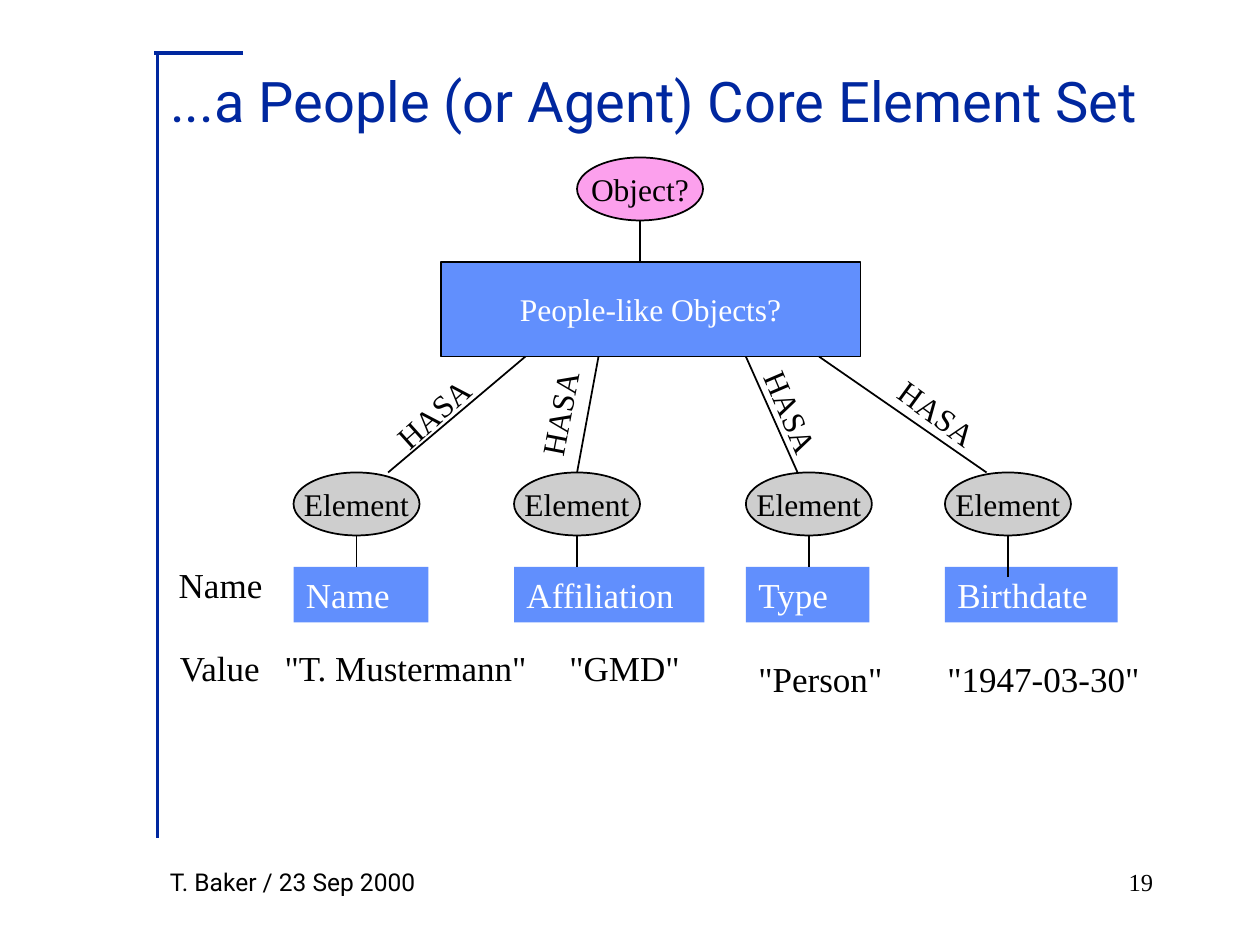
from lxml import etree
from pptx import Presentation
from pptx.dml.color import RGBColor
from pptx.enum.shapes import MSO_CONNECTOR, MSO_SHAPE
from pptx.enum.text import MSO_ANCHOR, MSO_AUTO_SIZE, PP_ALIGN
from pptx.oxml.ns import qn
from pptx.util import Inches, Pt

STRAIGHT = MSO_CONNECTOR.STRAIGHT
OVAL, RECTANGLE = MSO_SHAPE.OVAL, MSO_SHAPE.RECTANGLE
TOP, MIDDLE = MSO_ANCHOR.TOP, MSO_ANCHOR.MIDDLE
GROW, FIXED = MSO_AUTO_SIZE.SHAPE_TO_FIT_TEXT, MSO_AUTO_SIZE.NONE
LEFT, CENTER, RIGHT = PP_ALIGN.LEFT, PP_ALIGN.CENTER, PP_ALIGN.RIGHT

COLORS = {
    "navy": "00279F", "blue": "618FFD", "pink": "FCA0ED",
    "gray": "CECECE", "black": "000000", "white": "FFFFFF",
}
SANS, SERIF = "Roboto", "Times New Roman"

TITLE = "...a People (or Agent) Core Element Set"
FOOTER = "T. Baker / 23 Sep 2000"
PAGE_NUMBER = "19"
ROOT = "Object?"
GROUP = "People-like Objects?"
LINK = "HASA"
ROW_LABELS = [("Name", 1.32, 4.42), ("Value", 1.33, 5.08)]
ELEMENTS = [
    {"name": "Name", "left": 2.33, "width": 1.07, "stem_end": 4.5,
     "value": '"T. Mustermann"', "value_box": (2.16, 5.08, 2.18, 0.44),
     "branch": (3.08, 4.17), "link_at": (3, 3.08), "angle": 318.1},
    {"name": "Affiliation", "left": 4.08, "width": 1.51, "stem_end": 4.5,
     "value": '"GMD"', "value_box": (4.42, 5.08, 1.12, 0.44),
     "branch": (4.58, 4.75), "link_at": (4, 3.08), "angle": 280.9},
    {"name": "Type", "left": 5.92, "width": 0.98, "stem_end": 4.5,
     "value": '"Person"', "value_box": (5.92, 5.17, 1.22, 0.44),
     "branch": (6.33, 5.92), "link_at": (5.84, 3.07), "angle": 66.9},
    {"name": "Birthdate", "left": 7.5, "width": 1.37, "stem_end": 4.58,
     "value": '"1947-03-30"', "value_box": (7.42, 5.17, 1.76, 0.44),
     "branch": (7.83, 6.5), "link_at": (7, 3.08), "angle": 36.1},
]

OVAL_WIDTH, OVAL_HEIGHT = 1, 0.5
ROOT_LEFT, ROOT_TOP = 4.58, 1.25
GROUP_BOX = (3.5, 2.08, 3.33, 0.75)
GROUP_BOTTOM = 2.83
ELEMENT_TOP, NAME_TOP = 3.75, 4.5


def rgb(name):
    return RGBColor.from_string(COLORS[name])


def write(shape, text, size=20, font=SERIF, color="black", align=LEFT,
          anchor=TOP, wrap=False, fit=GROW):
    frame = shape.text_frame
    frame.auto_size = fit
    frame.word_wrap = wrap
    frame.vertical_anchor = anchor
    paragraph = frame.paragraphs[0]
    paragraph.alignment = align
    run = paragraph.add_run()
    run.text = text
    run.font.size = Pt(size)
    run.font.name = font
    run.font.color.rgb = rgb(color)


def add_text(slide, box, text, rotation=0, **style):
    shape = slide.shapes.add_textbox(*map(Inches, box))
    shape.rotation = rotation
    write(shape, text, **style)


def add_node(slide, kind, box, text, fill, outlined=True, **style):
    shape = slide.shapes.add_shape(kind, *map(Inches, box))
    shape.shadow.inherit = False
    shape.fill.solid()
    shape.fill.fore_color.rgb = rgb(fill)
    if outlined:
        shape.line.color.rgb = rgb("black")
        shape.line.width = Pt(1)
    else:
        shape.line.fill.background()
    write(shape, text, **style)


def add_line(slide, start, end, color="black", width=1):
    line = slide.shapes.add_connector(STRAIGHT, *map(Inches, start + end))
    line.line.color.rgb = rgb(color)
    line.line.width = Pt(width)
    etree.SubElement(line._element.spPr, qn("a:effectLst"))


def add_frame(slide):
    add_line(slide, (1.93, 0.42), (1.22, 0.42), "navy", 2)
    add_line(slide, (1.25, 0.43), (1.25, 6.65), "navy", 2)
    title = slide.shapes.title
    title.left, title.top, title.width, title.height = map(
        Inches, (1.25, 0.17, 8.08, 1.25))
    write(title, TITLE, size=32, font=SANS, color="navy",
          anchor=MIDDLE, wrap=True, fit=FIXED)
    add_text(slide, (1.25, 6.83, 2.58, 0.33), FOOTER, size=14, font=SANS, wrap=True)
    add_text(slide, (7.17, 6.83, 2.08, 0.5), PAGE_NUMBER, size=14,
             align=RIGHT, wrap=True, fit=FIXED)


def add_tree(slide):
    node_style = {"size": 18, "align": CENTER, "anchor": MIDDLE, "fit": FIXED}
    add_node(slide, OVAL, (ROOT_LEFT, ROOT_TOP, OVAL_WIDTH, OVAL_HEIGHT),
             ROOT, "pink", **node_style)
    add_node(slide, RECTANGLE, GROUP_BOX, GROUP, "blue", color="white", **node_style)
    root_center = ROOT_LEFT + OVAL_WIDTH / 2
    add_line(slide, (root_center, ROOT_TOP + OVAL_HEIGHT), (root_center, GROUP_BOX[1]))

    for text, left, top in ROW_LABELS:
        add_text(slide, (left, top, 0.9, 0.44), text)

    for element in ELEMENTS:
        left = element["left"]
        center = left + OVAL_WIDTH / 2
        branch_start, branch_end = element["branch"]
        add_node(slide, OVAL, (left, ELEMENT_TOP, OVAL_WIDTH, OVAL_HEIGHT),
                 "Element", "gray", **node_style)
        add_node(slide, RECTANGLE, (left, NAME_TOP, element["width"], 0.44),
                 element["name"], "blue", outlined=False, color="white")
        add_line(slide, (center, ELEMENT_TOP + OVAL_HEIGHT),
                 (center, element["stem_end"]))
        add_text(slide, element["value_box"], element["value"])
        add_line(slide, (branch_start, ELEMENT_TOP), (branch_end, GROUP_BOTTOM))
        add_text(slide, element["link_at"] + (0.88, 0.4), LINK,
                 rotation=element["angle"], size=18)


def main():
    presentation = Presentation()
    presentation.slide_width, presentation.slide_height = Inches(10), Inches(7.5)
    slide = presentation.slides.add_slide(presentation.slide_layouts[5])
    add_frame(slide)
    add_tree(slide)
    presentation.save("out.pptx")


if __name__ == "__main__":
    main()
